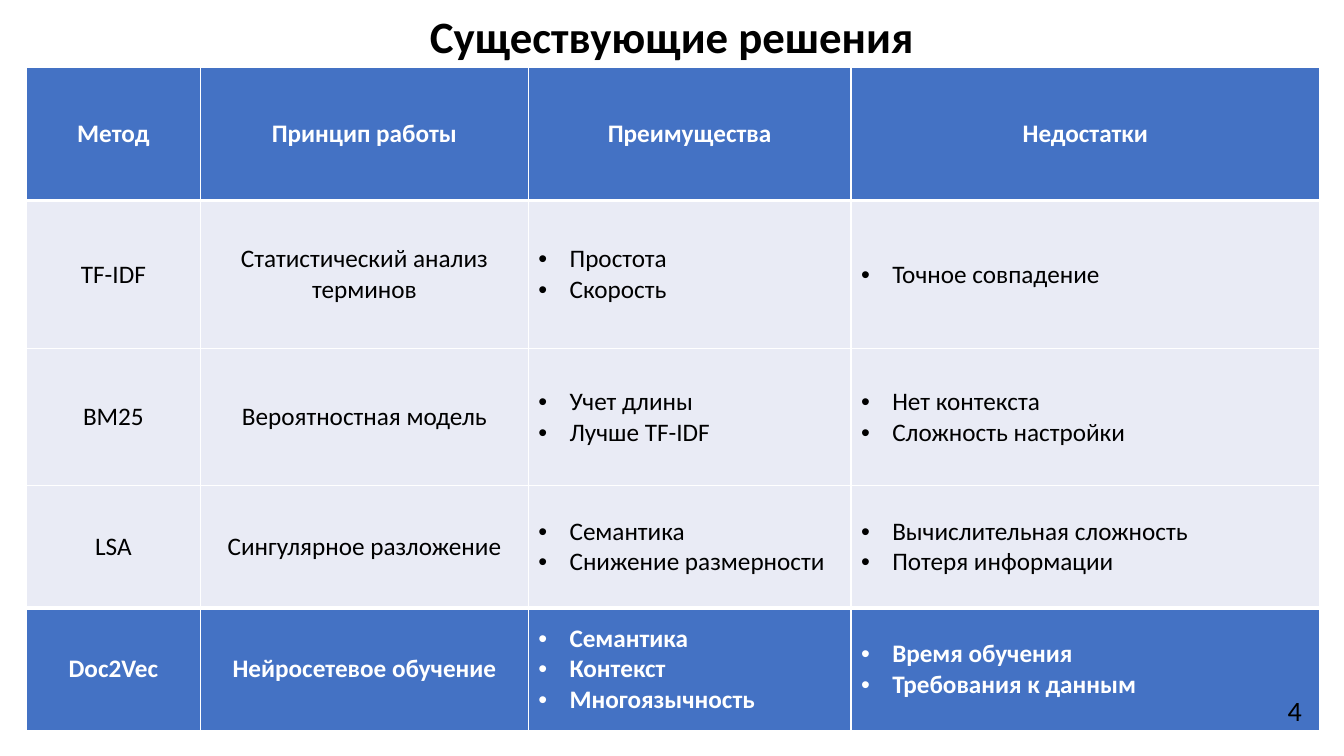
import pptx
import pptx.util
import pptx.dml.color
import pptx.enum.text
import pptx.oxml
import pptx.oxml.ns
from lxml import etree

Inches = pptx.util.Inches
Pt = pptx.util.Pt
RGBColor = pptx.dml.color.RGBColor
ALIGN = pptx.enum.text.PP_ALIGN
ANCHOR = pptx.enum.text.MSO_ANCHOR
qn = pptx.oxml.ns.qn

BLUE = RGBColor(0x44, 0x72, 0xC4)
PALE = RGBColor(0xE9, 0xEB, 0xF5)
WHITE = RGBColor(0xFF, 0xFF, 0xFF)
BLACK = RGBColor(0x00, 0x00, 0x00)


def add_text(para, text, size, color, bold=False):
    span = para.add_run()
    span.text = text
    span.font.name = "Calibri"
    span.font.size = Pt(size)
    span.font.color.rgb = color
    span.font.bold = bold


def add_border(cell, side, points):
    line = etree.SubElement(cell._tc.get_or_add_tcPr(), qn(f"a:ln{side}"), w=str(Pt(points)))
    fill = etree.SubElement(line, qn("a:solidFill"))
    etree.SubElement(fill, qn("a:srgbClr"), val=str(WHITE))


deck = pptx.Presentation()
deck.slide_width = Inches(13.33)
deck.slide_height = Inches(7.5)
page = deck.slides.add_slide(deck.slide_layouts[5])

# Title
title = page.shapes.title
title.left, title.top = Inches(4.14), Inches(-0.27)
title.width, title.height = Inches(5.05), Inches(0.94)
title.text_frame.word_wrap = False
title.text_frame.vertical_anchor = ANCHOR.BOTTOM
title_para = title.text_frame.paragraphs[0]
title_para.alignment = ALIGN.CENTER
add_text(title_para, "Существующие решения", 32, BLACK, True)

# Comparison table: a list in a cell becomes bullets
methods = [
    ["Метод", "Принцип работы", "Преимущества", "Недостатки"],
    ["TF-IDF", "Статистический анализ терминов",
     ["Простота", "Скорость"], ["Точное совпадение"]],
    ["BM25", "Вероятностная модель",
     ["Учет длины", "Лучше TF-IDF"], ["Нет контекста", "Сложность настройки"]],
    ["LSA", "Сингулярное разложение",
     ["Cемантика", "Снижение размерности"],
     ["Вычислительная сложность", "Потеря информации"]],
    ["Doc2Vec", "Нейросетевое обучение",
     ["Семантика", "Контекст", "Многоязычность"],
     ["Время обучения", "Требования к данным"]],
]
column_widths = [1.73, 3.25, 3.2, 4.65]
row_heights = [1.32, 1.47, 1.36, 1.21, 1.22]
last_row = len(methods) - 1

table = page.shapes.add_table(len(methods), len(column_widths), Inches(0.26), Inches(0.67),
                              Inches(12.83), Inches(6.58)).table
for column, width in zip(table.columns, column_widths):
    column.width = Inches(width)
for row, height in zip(table.rows, row_heights):
    row.height = Inches(height)

for row_index, method in enumerate(methods):
    strong = row_index in (0, last_row)
    for column_index, content in enumerate(method):
        cell = table.cell(row_index, column_index)
        cell.vertical_anchor = ANCHOR.MIDDLE

        # Thick rules set off the first and last rows
        add_border(cell, "L", 1)
        add_border(cell, "R", 1)
        add_border(cell, "T", 3 if row_index in (1, last_row) else 1)
        add_border(cell, "B", 3 if row_index in (0, last_row - 1) else 1)
        cell.fill.solid()
        cell.fill.fore_color.rgb = BLUE if strong else PALE

        bulleted = isinstance(content, list)
        for item_index, item in enumerate(content if bulleted else [content]):
            frame = cell.text_frame
            para = frame.add_paragraph() if item_index else frame.paragraphs[0]
            para.alignment = ALIGN.JUSTIFY if bulleted else ALIGN.CENTER
            if bulleted:
                properties = para._p.get_or_add_pPr()
                properties.set("marL", str(Inches(0.31)))
                properties.set("indent", str(Inches(-0.31)))
                etree.SubElement(properties, qn("a:buFont"), typeface="Arial")
                etree.SubElement(properties, qn("a:buChar"), char="•")
            add_text(para, item, 18, WHITE if strong else BLACK, strong)

# Page number
number_box = page.shapes.add_textbox(Inches(10.01), Inches(6.85), Inches(3), Inches(0.4))
number_box.text_frame.word_wrap = True
number_box.text_frame.vertical_anchor = ANCHOR.MIDDLE
number_para = number_box.text_frame.paragraphs[0]
number_para.alignment = ALIGN.RIGHT
add_text(number_para, "4", 20, BLACK)

deck.save("out.pptx")
